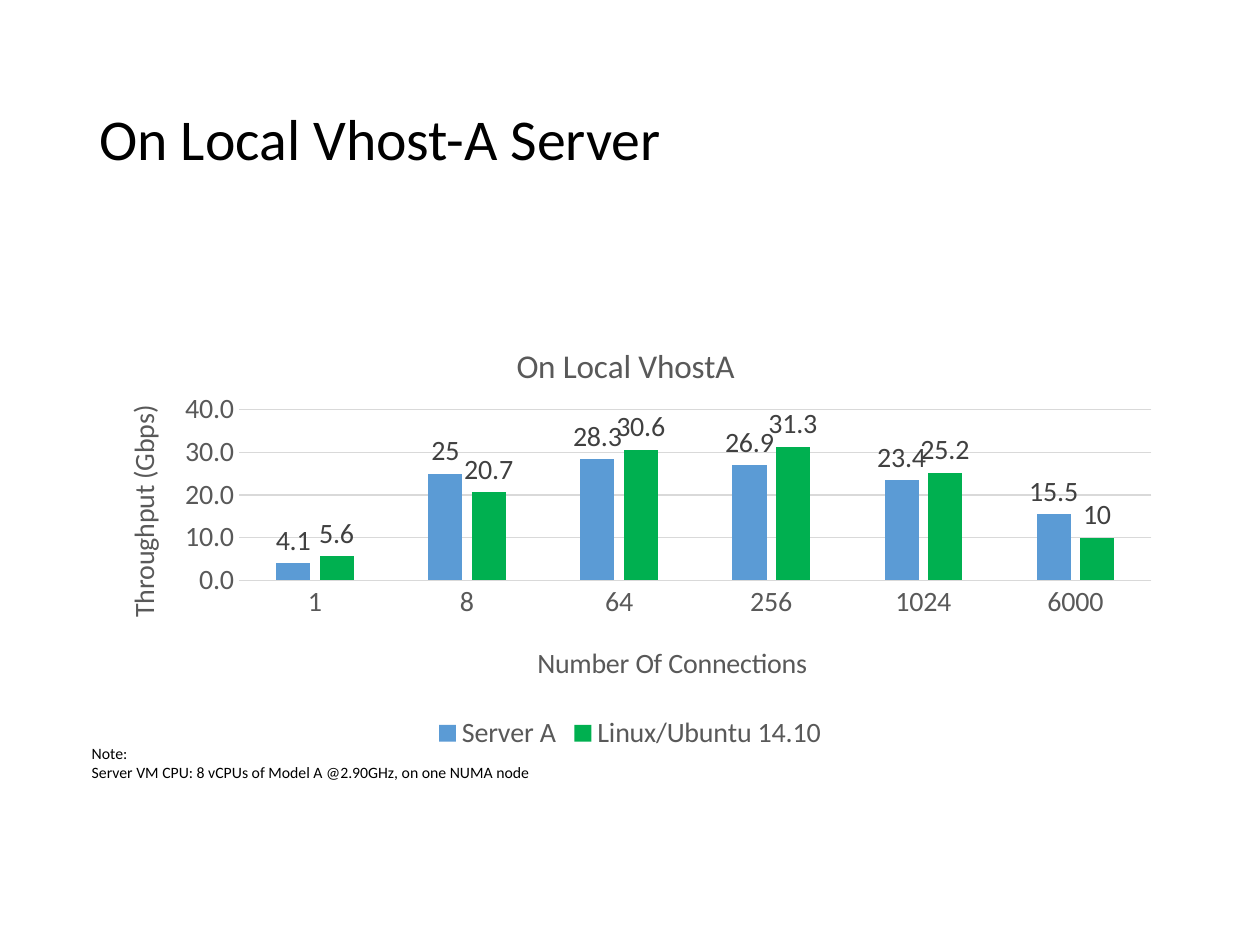
from lxml import etree
from pptx import Presentation
from pptx.chart.data import CategoryChartData
from pptx.dml.color import RGBColor
from pptx.enum.chart import XL_CHART_TYPE as ChartType, XL_LABEL_POSITION as LabelPos
from pptx.enum.chart import XL_LEGEND_POSITION as LegendPos, XL_TICK_MARK as Tick
from pptx.enum.text import MSO_ANCHOR, MSO_AUTO_SIZE, PP_ALIGN
from pptx.oxml.ns import qn
from pptx.util import Cm, Pt

FONT = "Calibri"
COLORS = {"text": "000000", "axis": "595959", "label": "404040", "grid": "D9D9D9",
          "server": "5B9BD5", "linux": "00B050"}
CATEGORIES = ["1", "8", "64", "256", "1024", "6000"]
SERIES = [("Server A", "server", [4.1, 25, 28.3, 26.9, 23.4, 15.5]),
          ("Linux/Ubuntu 14.10", "linux", [5.6, 20.7, 30.6, 31.3, 25.2, 10])]


def rgb(name):
    return RGBColor.from_string(COLORS[name])


def set_font(font, size, color):
    font.name, font.size, font.bold = FONT, Pt(size), False
    font.color.rgb = rgb(color)


def set_layout(parent, index, **values):
    """Fix a chart part at fractions of the chart area."""
    for old in parent.findall(qn("c:layout")):
        parent.remove(old)
    layout = etree.Element(qn("c:layout"))
    manual = etree.SubElement(layout, qn("c:manualLayout"))
    if "w" in values:
        etree.SubElement(manual, qn("c:layoutTarget"), val="inner")
    for key in ("xMode", "yMode"):
        etree.SubElement(manual, qn(f"c:{key}"), val="edge")
    for key, value in values.items():
        etree.SubElement(manual, qn(f"c:{key}"), val=str(value))
    parent.insert(index, layout)


def set_chart_title(title, text, size, x, y):
    tf = title.text_frame
    tf.text = text
    set_font(tf.paragraphs[0].font, size, "axis")
    set_layout(title._element, 1, x=x, y=y)
    return tf


def add_title(s, box):
    title = s.shapes.title
    title.left, title.top, title.width, title.height = box
    tf = title.text_frame
    tf.text = "On Local Vhost-A Server"
    tf.vertical_anchor = MSO_ANCHOR.MIDDLE
    p = tf.paragraphs[0]
    p.alignment = PP_ALIGN.LEFT
    p.line_spacing = 0.9
    set_font(p.font, 33, "text")


def add_throughput_chart(s, box):
    data = CategoryChartData()
    data.categories = CATEGORIES
    for name, _, values in SERIES:
        data.add_series(name, values)
    chart = s.shapes.add_chart(ChartType.COLUMN_CLUSTERED, *box, data).chart
    set_font(chart.font, 16, "text")
    set_chart_title(chart.chart_title, "On Local VhostA", 19, 0.39, 0.07)

    # Columns and value labels
    plot = chart.plots[0]
    plot.gap_width, plot.overlap = 219, -27
    plot.vary_by_categories = False
    for series, (_, color, _) in zip(plot.series, SERIES):
        series.format.fill.solid()
        series.format.fill.fore_color.rgb = rgb(color)
        labels = series.data_labels
        labels.show_value = True
        labels.position = LabelPos.OUTSIDE_END
        set_font(labels.font, 16, "label")

    # Axes
    category, value = chart.category_axis, chart.value_axis
    for axis in (category, value):
        axis.major_tick_mark = axis.minor_tick_mark = Tick.NONE
        set_font(axis.tick_labels.font, 16, "axis")
    value.minimum_scale, value.maximum_scale, value.major_unit = 0, 40, 10
    value.tick_labels.number_format = "#,##0.0"
    value.tick_labels.number_format_is_linked = False
    value.format.line.fill.background()
    for line in (category.format.line, value.major_gridlines.format.line):
        line.color.rgb = rgb("grid")
        line.width = Pt(0.75)
    set_chart_title(category.axis_title, "Number Of Connections", 16, 0.41, 0.74)
    tf = set_chart_title(value.axis_title, "Throughput (Gbps)", 16, 0.03, 0.21)
    body = tf._txBody.bodyPr
    body.set("rot", "-5400000")
    body.set("vert", "horz")
    plot_area = chart._chartSpace.chart.plotArea
    set_layout(plot_area, 0, x=0.14, y=0.23, w=0.84, h=0.38)

    # Legend
    chart.has_legend = True
    chart.legend.position = LegendPos.BOTTOM
    chart.legend.include_in_layout = False
    set_font(chart.legend.font, 16, "axis")


def add_note(s, box):
    tf = s.shapes.add_textbox(*box).text_frame
    tf.word_wrap = False
    tf.auto_size = MSO_AUTO_SIZE.SHAPE_TO_FIT_TEXT
    tf.text = "Note:\nServer VM CPU: 8 vCPUs of Model A @2.90GHz, on one NUMA node"
    for p in tf.paragraphs:
        set_font(p.font, 9, "text")


def main():
    prs = Presentation()
    prs.slide_width, prs.slide_height = Cm(25.4), Cm(19.05)
    s = prs.slides.add_slide(prs.slide_layouts[5])
    left, width = Cm(1.75), Cm(21.9)
    add_title(s, (left, Cm(1.02), width, Cm(3.68)))
    add_note(s, (Cm(1.6), Cm(14.86), Cm(9.35), Cm(1.02)))
    add_throughput_chart(s, (left, Cm(6.17), width, Cm(9.07)))
    prs.save("out.pptx")


if __name__ == "__main__":
    main()
